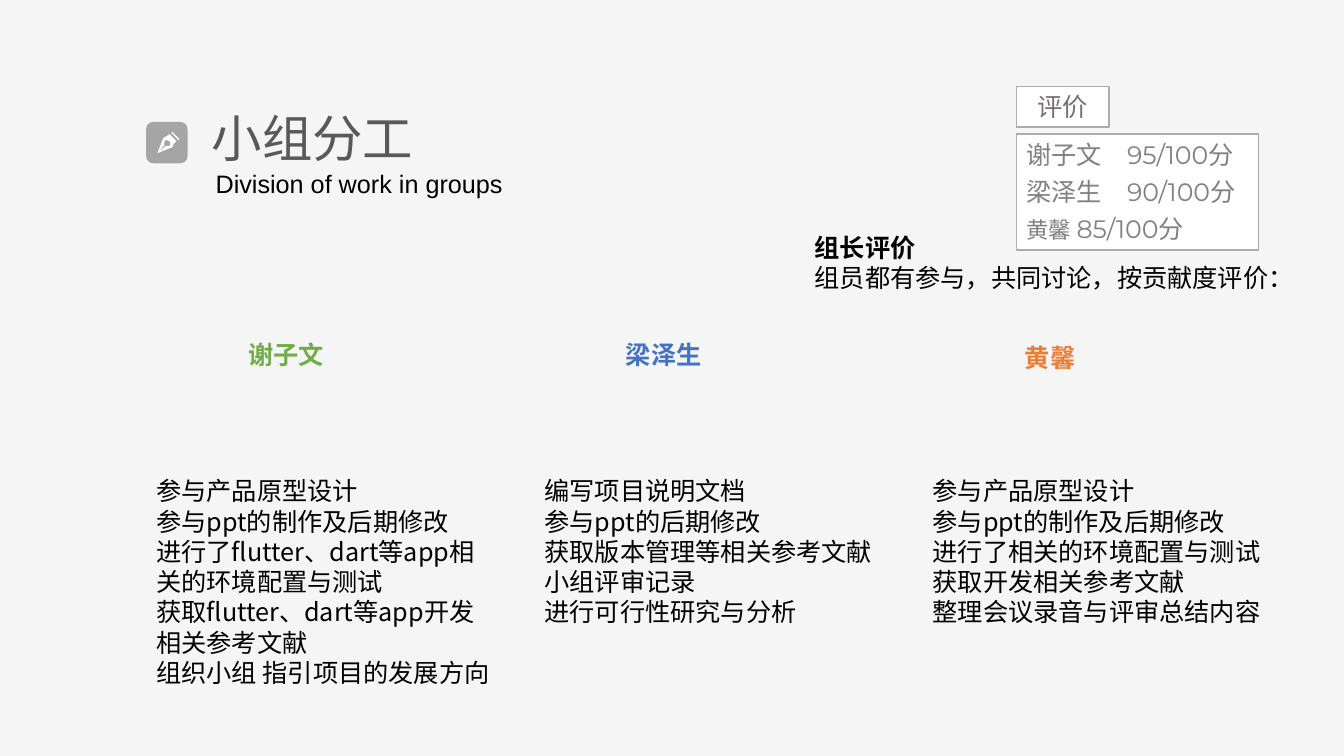
from lxml.etree import SubElement
from pptx import Presentation
from pptx.dml.color import RGBColor
from pptx.enum.shapes import MSO_SHAPE
from pptx.enum.text import MSO_ANCHOR, MSO_AUTO_SIZE, PP_ALIGN
from pptx.oxml.ns import qn
from pptx.util import Inches, Pt

HAN = "Noto Sans CJK SC"
LATIN = "Montserrat"
BLACK, WHITE, GRAY = "000000", "FFFFFF", "808080"

NIB = [(172, 137), (168, 133), (167, 134), (162, 137), (156, 152),
       (163, 144), (163, 140), (165, 139), (168, 140), (169, 142),
       (168, 145), (164, 145), (156, 152), (171, 146), (172, 143),
       (174, 141), (175, 140)]
CAP = [(171, 131), (178, 138), (177, 139), (170, 132)]

SCORES = [("谢子文\t", 18, "95/100分"),
          ("梁泽生 \t", 18, "90/100分"),
          ("黄馨", 16, "\t85/100分")]
NAMES = [("谢子文", "70AD47", 1.56, 3.32, 2.55, PP_ALIGN.CENTER),
         ("梁泽生", "4472C4", 6.11, 3.32, 1.12, PP_ALIGN.LEFT),
         ("黄馨", "ED7D31", 9.55, 3.35, 1.73, PP_ALIGN.CENTER)]
TASKS = [
    ["参与产品原型设计", "参与ppt的制作及后期修改",
     "进行了flutter、dart等app相关的环境配置与测试",
     "获取flutter、dart等app开发相关参考文献",
     "组织小组 指引项目的发展方向"],
    ["编写项目说明文档", "参与ppt的后期修改", "获取版本管理等相关参考文献",
     "小组评审记录", "进行可行性研究与分析"],
    ["参与产品原型设计", "参与ppt的制作及后期修改",
     "进行了相关的环境配置与测试", "获取开发相关参考文献",
     "整理会议录音与评审总结内容"],
]


def color(code):
    return RGBColor.from_string(code)


def place(shape, left, top, width, height):
    shape.left, shape.top = Inches(left), Inches(top)
    shape.width, shape.height = Inches(width), Inches(height)


def paint(shape, fill, line=None):
    shape.shadow.inherit = False
    shape.fill.solid()
    shape.fill.fore_color.rgb = color(fill)
    if line:
        shape.line.color.rgb = color(line)
        shape.line.width = Pt(1)
    else:
        shape.line.fill.background()


def frame(shape, anchor=MSO_ANCHOR.TOP, size=MSO_AUTO_SIZE.NONE):
    text = shape.text_frame
    text.word_wrap = True
    text.auto_size = size
    text.vertical_anchor = anchor
    return text


def add_par(text, first, align=PP_ALIGN.LEFT, before=0):
    par = text.paragraphs[0] if first else text.add_paragraph()
    par.alignment = align
    par.space_before = Pt(before)
    return par


def add_run(par, words, size=18, code=BLACK, font=HAN, bold=False):
    run = par.add_run()
    run.text = words
    run.font.size, run.font.bold = Pt(size), bold
    run.font.color.rgb = color(code)
    run.font.name = font
    SubElement(run.font._element, qn("a:ea")).set("typeface", HAN)


def no_bullet(par):
    props = par._p.get_or_add_pPr()
    props.set("marL", "0")
    props.set("indent", "0")
    SubElement(props, qn("a:buNone"))


def add_list(holder, lines, box, bold_first=False):
    place(holder, *box)
    text = frame(holder)
    for row, line in enumerate(lines):
        par = add_par(text, row == 0)
        no_bullet(par)
        add_run(par, line, bold=bold_first and row == 0)


def add_label(slide, words, box, code=BLACK, font=HAN, bold=False,
              align=PP_ALIGN.LEFT):
    label = slide.shapes.add_textbox(*map(Inches, box))
    par = add_par(frame(label), True, align)
    add_run(par, words, code=code, font=font, bold=bold)


def add_card(slide, box):
    card = slide.shapes.add_shape(MSO_SHAPE.RECTANGLE, *map(Inches, box))
    paint(card, WHITE, "AFABAB")
    return card


def add_scores(slide):
    text = frame(add_card(slide, (10.08, 1.33, 2.4, 1.15)))
    for row, (name, size, score) in enumerate(SCORES):
        par = add_par(text, row == 0, before=5)
        add_run(par, name, size, GRAY)
        add_run(par, score, 18, GRAY, LATIN)
    tag = add_card(slide, (10.08, 0.86, 0.92, 0.4))
    par = add_par(frame(tag, MSO_ANCHOR.MIDDLE), True, PP_ALIGN.CENTER)
    add_run(par, "评价", code="767171", font="Karla")


def add_icon(slide):
    """Draw the pen icon; its outlines are in hundredths of an inch."""
    parts = slide.shapes.add_group_shape().shapes
    tile = parts.add_shape(MSO_SHAPE.ROUNDED_RECTANGLE,
                           *map(Inches, (1.45, 1.21, 0.41, 0.41)))
    paint(tile, "A5A5A5")
    for points in (NIB, CAP):
        pen = parts.build_freeform(*points[0], scale=Inches(0.01))
        pen.add_line_segments(points[1:], close=True)
        paint(pen.convert_to_shape(), WHITE)


def add_title(slide):
    title = slide.shapes.title
    place(title, 2, 1.1, 2.82, 0.61)
    par = add_par(frame(title, MSO_ANCHOR.MIDDLE), True, before=10)
    par.line_spacing = 0.9
    add_run(par, "小组分工", 36, "595959")
    add_label(slide, "Division of work in groups", (2.04, 1.62, 3.27, 0.4),
              font="Arial")


def main():
    deck = Presentation()
    deck.slide_width, deck.slide_height = Inches(13.33), Inches(7.5)
    slide = deck.slides.add_slide(deck.slide_layouts[4])
    slide.background.fill.solid()
    slide.background.fill.fore_color.rgb = color("F5F5F5")

    add_scores(slide)
    add_icon(slide)
    add_title(slide)
    for name, code, left, top, width, align in NAMES:
        add_label(slide, name, (left, top, width, 0.4), code, bold=True,
                  align=align)
    *columns, review = list(slide.placeholders)[1:]
    for col, (holder, lines) in enumerate(zip(columns, TASKS)):
        height = 1.92 if col else 2.22
        add_list(holder, lines, (1.45 + 3.85 * col, 4.67, 3.56, height))
    add_list(review, ["组长评价", "组员都有参与，共同讨论，按贡献度评价："],
             (7.98, 2.25, 4.9, 0.71), bold_first=True)
    deck.save("out.pptx")


if __name__ == "__main__":
    main()
